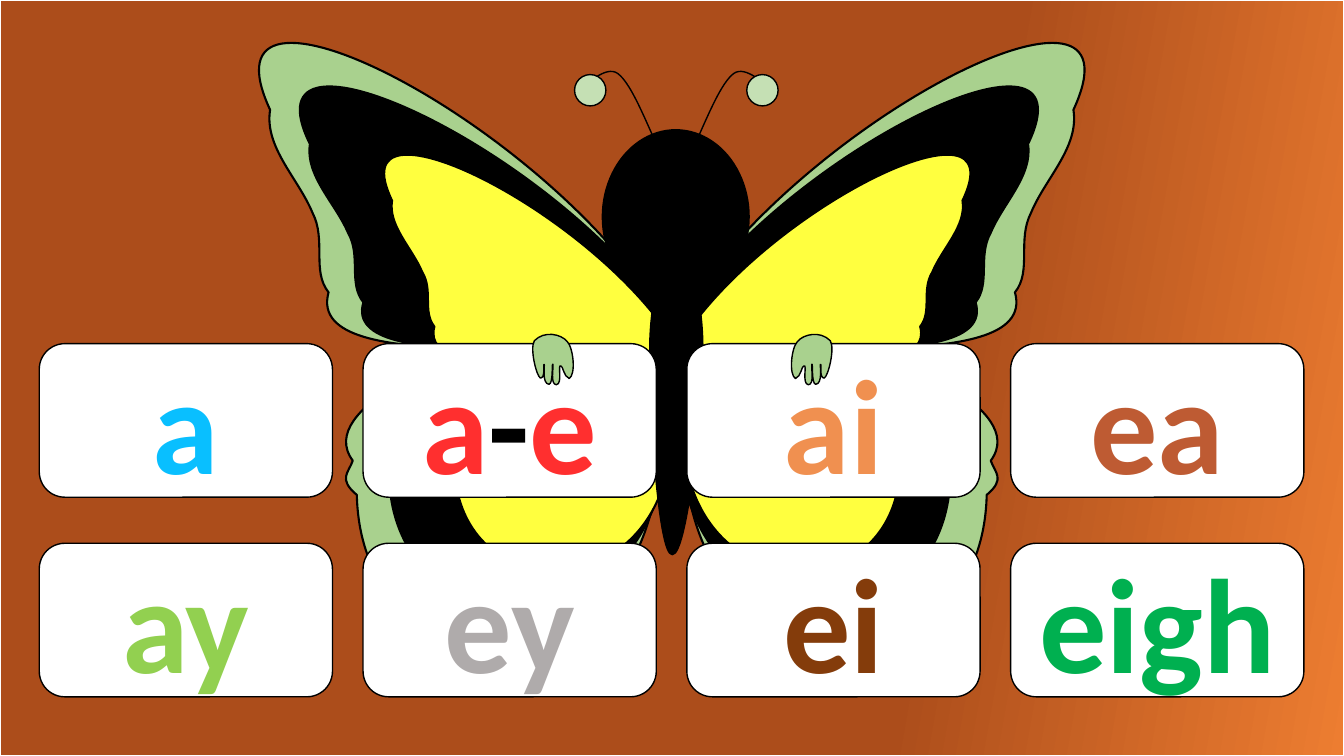
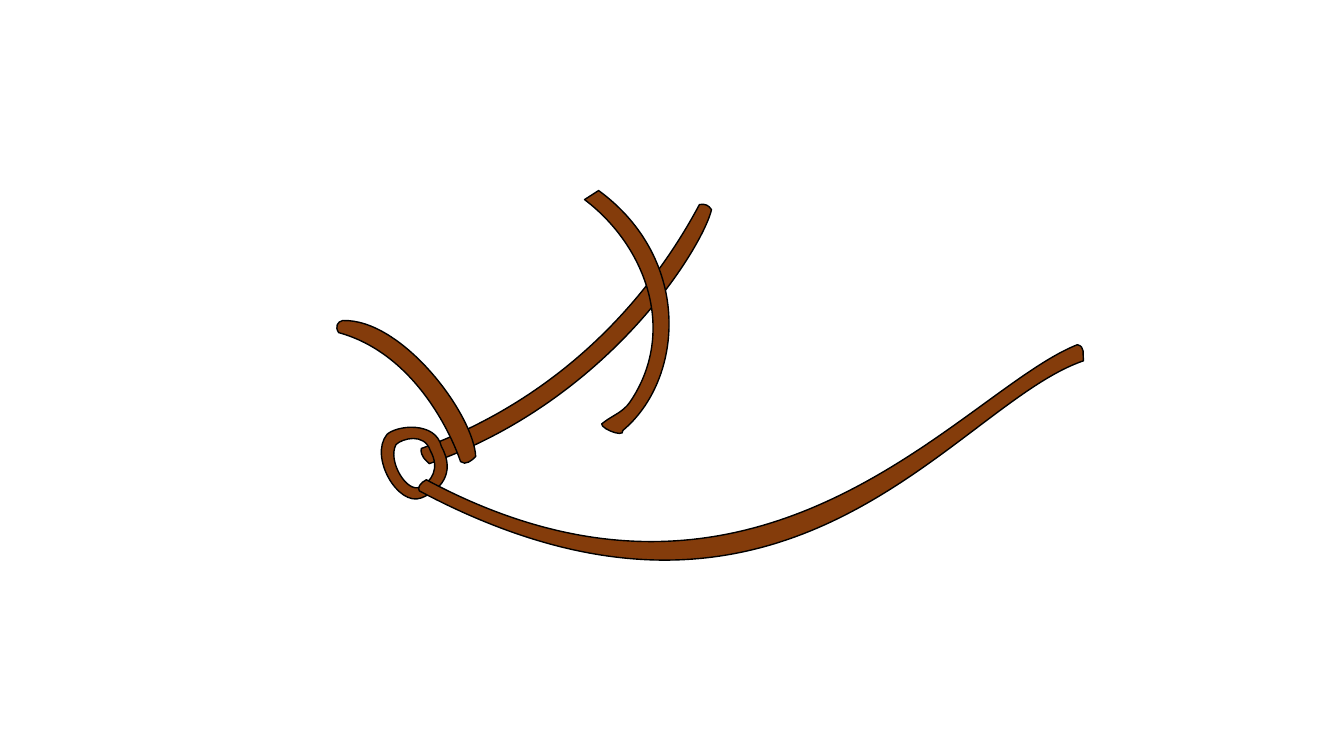
import pptx
import pptx.dml.color
import pptx.enum.shapes
import pptx.enum.text
import pptx.util
from lxml import etree
from pptx.oxml.ns import qn

Cm = pptx.util.Cm
Pt = pptx.util.Pt
MSO = pptx.enum.shapes.MSO_SHAPE
rgb = pptx.dml.color.RGBColor.from_string

BLACK, WHITE = "000000", "FFFFFF"
GREEN, PALE_GREEN, YELLOW = "A9D18E", "C5E0B4", "FFFF3F"
BROWN = "843C0B"
UNIT = Cm(2.54)
STEPS = 24


def paint(sp, fill, line=BLACK, width=1):
    sp.shadow.inherit = False
    if fill:
        sp.fill.solid()
        sp.fill.fore_color.rgb = rgb(fill)
    else:
        sp.fill.background()
    sp.line.color.rgb = rgb(line)
    sp.line.width = Pt(width)
    return sp


def draw(s, contours, fill, width=1, offset=0, scale=1):
    builder = None
    commands = []
    for contour in contours:
        points = []
        for seg in contour:
            knots = [((offset + scale * x) * UNIT, y * UNIT) for x, y in zip(seg[::2], seg[1::2])]
            tag = "a:cubicBezTo" if len(knots) == 3 else "a:lnTo" if points else "a:moveTo"
            commands.append((tag, knots))
            if len(knots) == 3:
                ends = [points[-1], *knots]
                for i in range(1, STEPS):
                    t = i / STEPS
                    weights = [(1 - t) ** 3, 3 * t * (1 - t) ** 2, 3 * t * t * (1 - t), t ** 3]
                    points.append(tuple(sum(w * k[axis] for w, k in zip(weights, ends))
                                        for axis in (0, 1)))
            points.append(knots[-1])
        if fill:
            commands.append(("a:close", []))
        if builder is None:
            builder = s.shapes.build_freeform(*points[0])
        else:
            builder.move_to(*points[0])
        builder.add_line_segments(points[1:], close=bool(fill))
    sp = paint(builder.convert_to_shape(), fill, BLACK, width)
    geometry = sp._element.find(".//" + qn("a:path"))
    for child in list(geometry):
        geometry.remove(child)
    for tag, knots in commands:
        command = etree.SubElement(geometry, qn(tag))
        for x, y in knots:
            etree.SubElement(command, qn("a:pt"), x=str(round(x - sp.left)), y=str(round(y - sp.top)))
    return sp


prs = pptx.Presentation()
prs.slide_width = Cm(33.87)
prs.slide_height = Cm(19.05)
blank = prs.slide_layouts[6]

s = prs.slides.add_slide(blank)
sp = paint(s.shapes.add_shape(MSO.RECTANGLE, 0, 0, prs.slide_width, prs.slide_height), WHITE, WHITE)
sp.fill.gradient()
sp.fill.gradient_angle = 170
for stop, (position, color) in zip(sp.fill.gradient_stops, [(0, "ED7D31"), (0.31, "AC4D1B")]):
    stop.position = position
    stop.color.rgb = rgb(color)

outer_wing = [
    (10.65, 1.09), (11.42, -0.57, 7.96, 1.17, 6.75, 3.13), (6.79, 4.48),
    (6.86, 6.94, 9.74, 7, 9.79, 4.91), (9.98, 4.75, 9.87, 4.69, 9.83, 4.57),
    (10.23, 4.03, 8.69, 3.51, 8.85, 3.46), (9.42, 3.42, 10.2, 3.37, 10.07, 2.9),
    (10.24, 2.69, 10.09, 2.38, 10.23, 2.11), (10.37, 1.77, 10.71, 1.46, 10.65, 1.09)]
middle_wing = [
    (10.2, 1.43), (10.89, 0, 7.78, 1.5, 6.7, 3.19), (6.73, 4.35),
    (6.8, 6.48, 9.38, 6.53, 9.43, 4.73), (9.6, 4.59, 9.5, 4.54, 9.46, 4.44),
    (9.83, 3.97, 8.44, 3.52, 8.59, 3.47), (9.1, 3.44, 9.8, 3.4, 9.68, 3),
    (9.83, 2.81, 9.7, 2.54, 9.83, 2.31), (9.95, 2.02, 10.25, 1.74, 10.2, 1.43)]
inner_wing = [
    (9.55, 1.99), (10.1, 0.85, 7.61, 2.05, 6.75, 3.4), (6.78, 4.33),
    (6.83, 6.03, 8.89, 6.07, 8.93, 4.63), (9.07, 4.51, 8.99, 4.47, 8.96, 4.4),
    (9.25, 4.02, 8.14, 3.66, 8.26, 3.63), (8.66, 3.6, 9.22, 3.57, 9.13, 3.24),
    (9.25, 3.09, 9.14, 2.88, 9.25, 2.7), (9.35, 2.46, 9.59, 2.24, 9.55, 1.99)]
for wing, color, offset, scale in [(outer_wing, GREEN, 13.33, -1),
                                   (middle_wing, BLACK, 13.48, -1.02),
                                   (inner_wing, YELLOW, 13.44, -1)]:
    draw(s, [wing], color, 1.5)
    draw(s, [wing], color, 1.5, offset, scale)

body = [(6.45, 3.47), (6.45, 2.98, 6.57, 2.54, 6.71, 2.54), (6.85, 2.54, 6.97, 2.96, 6.97, 3.47),
        (6.97, 3.99, 6.82, 5.5, 6.67, 5.5), (6.53, 5.5, 6.44, 3.97, 6.45, 3.47)]
draw(s, [body], BLACK, 1.5)
paint(s.shapes.add_shape(MSO.OVAL, Cm(15.19), Cm(3.28), Cm(3.68), Cm(4.37)), BLACK, width=1.5)

antenna = [(6.91, 1.4), (7.04, 1.11, 7.16, 0.82, 7.28, 0.73), (7.4, 0.64, 7.61, 0.86, 7.61, 0.86)]
for offset, scale, tip in [(0, 1, 18.82), (13.41, -1, 14.48)]:
    draw(s, [antenna], None, 1, offset, scale)
    paint(s.shapes.add_shape(MSO.OVAL, Cm(tip), Cm(1.88), Cm(0.79), Cm(0.79)), PALE_GREEN)

cards = [
    [[("a", "09BFFF")], [("a", "FF2F2F"), ("-", BLACK), ("e", "FF2F2F")],
     [("ai", "F09050")], [("ea", "BE5B33")]],
    [[("ay", "92D050")], [("ey", "AFABAB")], [("ei", BROWN)], [("eigh", "00B050")]]]
for row, line in enumerate(cards):
    for col, runs in enumerate(line):
        sp = s.shapes.add_shape(MSO.ROUNDED_RECTANGLE, Cm(0.99 + 8.16 * col),
                                Cm(8.66 + 5.03 * row), Cm(7.39), Cm(3.87))
        paint(sp, WHITE)
        tf = sp.text_frame
        tf.vertical_anchor = pptx.enum.text.MSO_ANCHOR.MIDDLE
        p = tf.paragraphs[0]
        p.alignment = pptx.enum.text.PP_ALIGN.CENTER
        for text, color in runs:
            r = p.add_run()
            r.text = text
            r.font.name = "Calibri"
            r.font.size = Pt(96)
            r.font.bold = True
            r.font.color.rgb = rgb(color)
            ln = etree.Element(qn("a:ln"), w=str(Pt(0.75)))
            solid = etree.SubElement(ln, qn("a:solidFill"))
            etree.SubElement(solid, qn("a:srgbClr"), val=BLACK)
            r.font._element.insert(0, ln)

hand = [
    (7.84, 3.69), (7.79, 3.63, 7.9, 3.39, 7.98, 3.35), (8.06, 3.3, 8.23, 3.32, 8.29, 3.45),
    (8.31, 3.54, 8.15, 3.78, 8.11, 3.78), (8.06, 3.76, 8.14, 3.63, 8.12, 3.64),
    (8.11, 3.65, 8.08, 3.83, 8.01, 3.81), (7.97, 3.79, 8.06, 3.59, 8.04, 3.61),
    (8.02, 3.64, 8, 3.81, 7.94, 3.79), (7.88, 3.76, 8, 3.59, 7.96, 3.6),
    (7.94, 3.59, 7.9, 3.69, 7.84, 3.69)]
for offset, scale, angle in [(0, 1, 340.7), (13.54, -1, 19.3)]:
    draw(s, [hand], GREEN, 1, offset, scale).rotation = angle

s = prs.slides.add_slide(blank)
long_twig = [(6.94, 2.03), (7.01, 2.02, 7.03, 2.04, 7.06, 2.08), (6.98, 2.43, 6.07, 3.96, 4.26, 4.6),
             (4.23, 4.57, 4.17, 4.53, 4.18, 4.45), (5.58, 3.94, 6.45, 2.95, 6.94, 2.03)]
short_twig = [(3.4, 3.18), (3.99, 3.16, 4.7, 4.11, 4.72, 4.53), (4.68, 4.57, 4.62, 4.62, 4.57, 4.58),
              (4.46, 4.26, 4.09, 3.5, 3.36, 3.3), (3.32, 3.24, 3.35, 3.19, 3.4, 3.18)]
hooked_twig = [(5.8, 1.98), (5.94, 1.89), (6.88, 2.58, 6.78, 3.77, 6.18, 4.27),
               (6.2, 4.36, 5.89, 4.22, 5.99, 4.19), (6.08, 4.12, 6.18, 4.09, 6.25, 3.99),
               (6.72, 3.3, 6.42, 2.45, 5.8, 1.98)]
ring_outside = [(4.12, 4.24), (4.24, 4.25, 4.35, 4.3, 4.38, 4.43), (4.53, 4.7, 4.36, 4.87, 4.18, 4.94),
                (3.95, 5.03, 3.66, 4.53, 3.84, 4.31), (3.88, 4.27, 4, 4.23, 4.12, 4.24)]
ring_inside = [(4.1, 4.35), (4.03, 4.35, 3.96, 4.38, 3.93, 4.41), (3.84, 4.57, 4.04, 4.9, 4.17, 4.83),
               (4.28, 4.78, 4.37, 4.65, 4.27, 4.47), (4.24, 4.38, 4.17, 4.35, 4.1, 4.35)]
branch = [(4.23, 4.76), (7.59, 6.56, 9.55, 3.87, 10.69, 3.42), (10.77, 3.44, 10.74, 3.51, 10.75, 3.58),
          (9.46, 4.02, 7.85, 6.83, 4.16, 4.87), (4.14, 4.84, 4.17, 4.79, 4.23, 4.76)]
for contours in [[long_twig], [short_twig], [hooked_twig], [ring_outside, ring_inside], [branch]]:
    draw(s, contours, BROWN)

prs.save("out.pptx")
